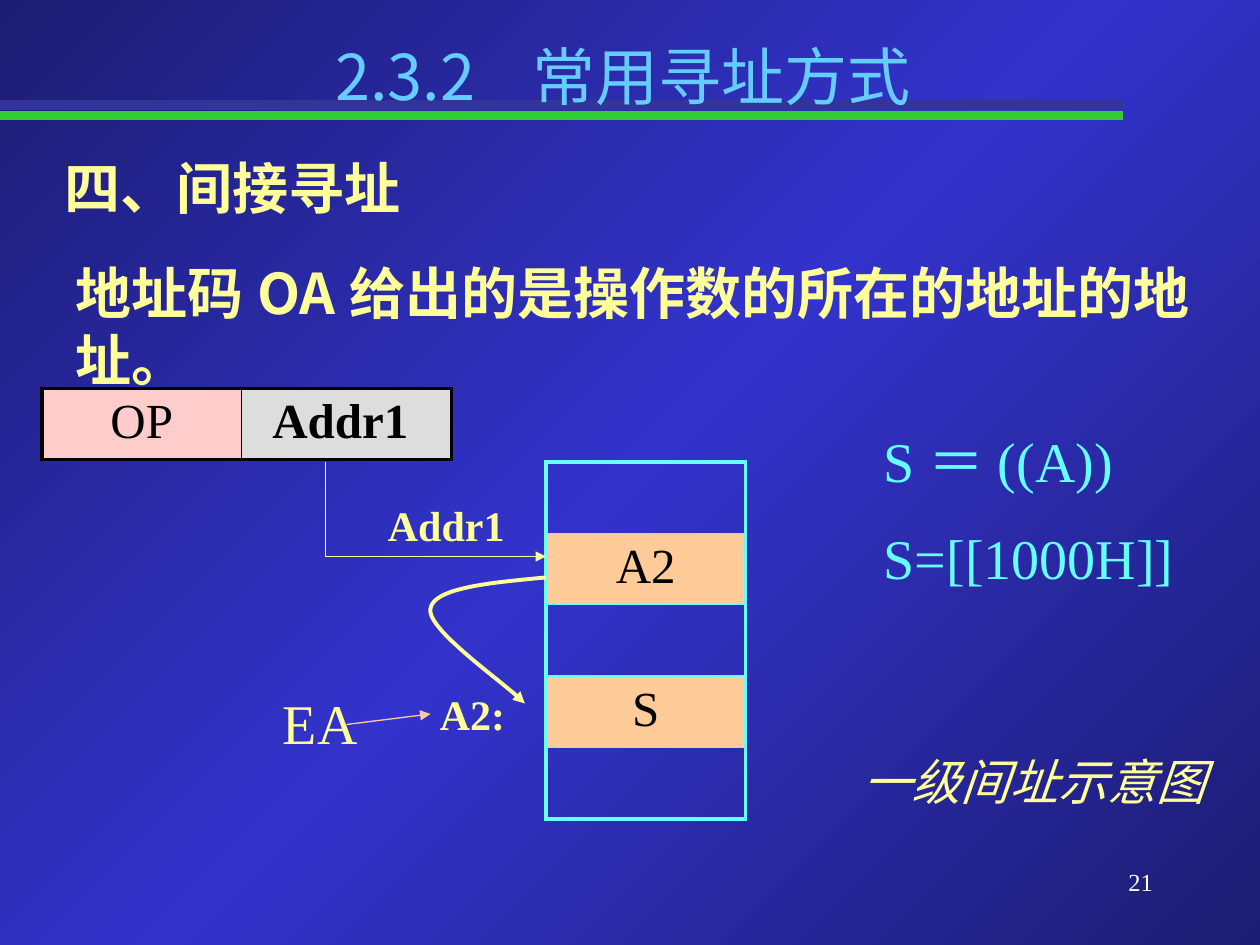
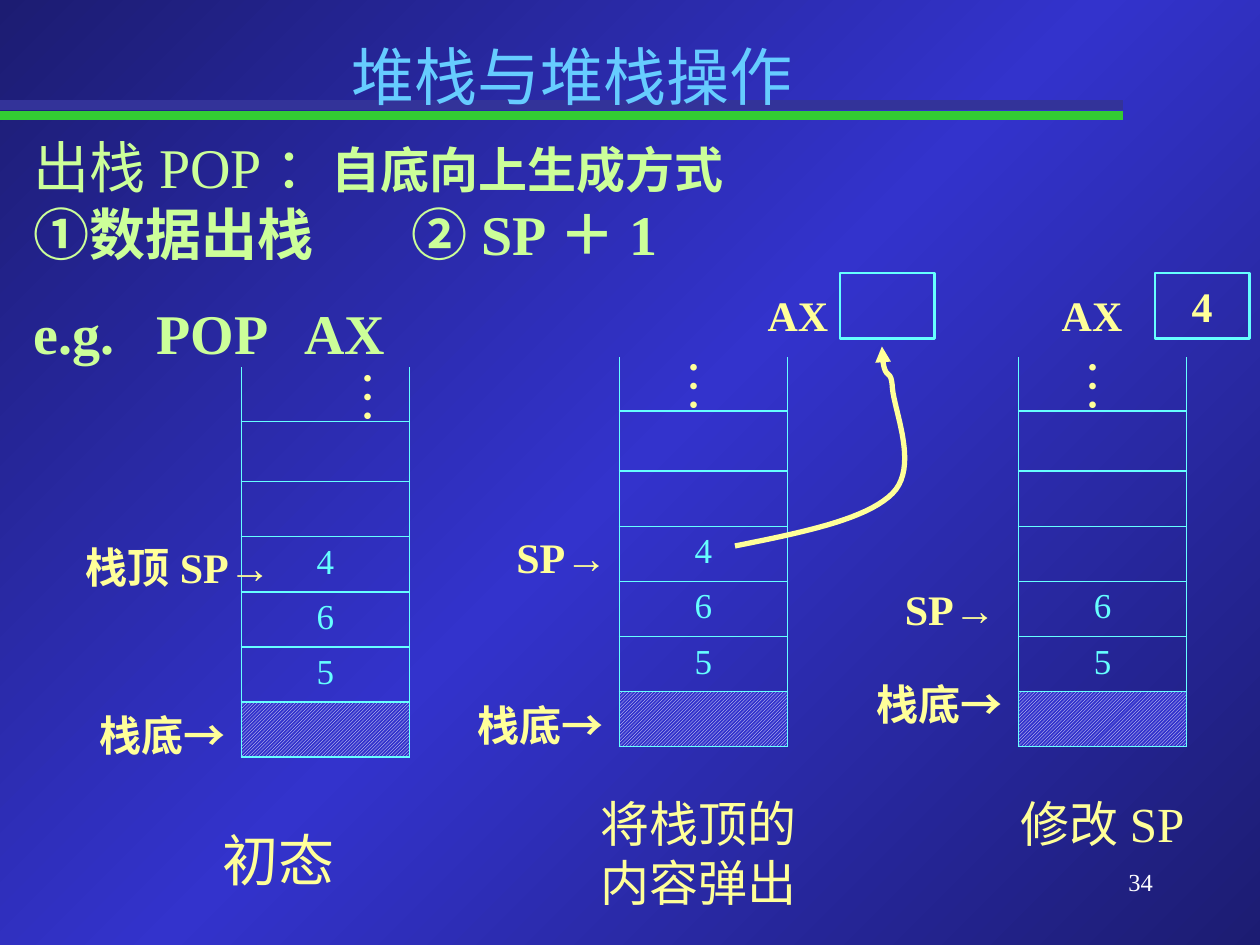
"""Build two slides on indirect addressing and on popping a stack."""
import copy

import pptx
import pptx.dml.color
import pptx.enum.dml
import pptx.enum.shapes
import pptx.enum.text
import pptx.oxml
import pptx.oxml.ns
import pptx.util

PX = 9525
SERIF = "Times New Roman"
SANS = "Noto Sans CJK SC"
COLORS = {
    name: pptx.dml.color.RGBColor.from_string(value)
    for name, value in {
        "edge": "1C1C72", "blue": "3333CC", "green": "33CC33", "navy": "333399",
        "title": "66CCFF", "yellow": "FFFF99", "lime": "CCFF99", "cyan": "66FFFF",
        "orange": "FFCC99", "pink": "FFCCCC", "gray": "DDDDDD",
        "black": "000000", "white": "FFFFFF",
    }.items()
}
ALIGN = pptx.enum.text.PP_ALIGN
ANCHOR = pptx.enum.text.MSO_ANCHOR
DRAWING = 'xmlns:a="http://schemas.openxmlformats.org/drawingml/2006/main"'
ARROWHEAD = f'<a:tailEnd {DRAWING} type="triangle"/>'


def write(frame, text, size=24, color="yellow", bold=False, italic=False, font=SERIF,
          east=SANS, align=ALIGN.LEFT, anchor=ANCHOR.TOP, gap=0, new=False):
    """Add one formatted span to the last paragraph, or to a new one."""
    frame.word_wrap = True
    frame.auto_size = pptx.enum.text.MSO_AUTO_SIZE.NONE
    frame.vertical_anchor = anchor
    para = frame.add_paragraph() if new else frame.paragraphs[-1]
    para.alignment = align
    para.space_before = pptx.util.Pt(gap)
    span = para.add_run()
    span.text = text
    span.font.size = pptx.util.Pt(size)
    span.font.bold = bold
    span.font.italic = italic
    span.font.color.rgb = COLORS[color]
    span.font.name = font
    span._r.get_or_add_rPr().append(
        pptx.oxml.parse_xml(f'<a:ea {DRAWING} typeface="{east}"/>'))


def add_grid(page, left, top, widths, heights, rows, fills, border, outer=1,
             open_top=False, **text_format):
    """Add a table with ruled cells, fills keyed by (row, column)."""
    grid = page.shapes.add_table(
        len(heights), len(widths), left * PX, top * PX,
        sum(widths) * PX, int(sum(heights) * PX)).table
    grid.first_row = grid.horz_banding = False
    for column, width in zip(grid.columns, widths):
        column.width = width * PX
    for row, height in zip(grid.rows, heights):
        row.height = int(height * PX)
    for r, texts in enumerate(rows):
        for c, text in enumerate(texts):
            cell = grid.cell(r, c)
            fill = fills.get((r, c))
            if fill == "hatch":
                cell.fill.patterned()
                cell.fill.pattern = pptx.enum.dml.MSO_PATTERN.DARK_UPWARD_DIAGONAL
                cell.fill.fore_color.rgb = COLORS["white"]
                cell.fill.back_color.rgb = COLORS["blue"]
            elif fill:
                cell.fill.solid()
                cell.fill.fore_color.rgb = COLORS[fill]
            else:
                cell.fill.background()
            if text:
                write(cell.text_frame, text, align=ALIGN.CENTER,
                      bold=text.startswith("Addr"), **text_format)
            outside = {"L": c == 0, "R": c == len(widths) - 1,
                       "T": r == 0, "B": r == len(heights) - 1}
            for place, (side, is_outside) in enumerate(outside.items()):
                weight = int((outer if is_outside else 1) * 12700)
                paint = f'<a:solidFill><a:srgbClr val="{COLORS[border]}"/></a:solidFill>'
                if open_top and side == "T" and r == 0:
                    paint = "<a:noFill/>"
                cell._tc.get_or_add_tcPr().insert(place, pptx.oxml.parse_xml(
                    f'<a:ln{side} {DRAWING} w="{weight}">{paint}</a:ln{side}>'))


deck = pptx.Presentation()
deck.slide_width = 960 * PX
deck.slide_height = 720 * PX

background = deck.slide_master.background
background.fill.gradient()
background.fill.gradient_angle = 315
for stop in background.fill.gradient_stops:
    stop.color.rgb = COLORS["edge"]
stops = next(background.element.iter(pptx.oxml.ns.qn("a:gsLst")))
middle = copy.deepcopy(stops[0])
middle.set("pos", "50000")
middle[0].set("val", str(COLORS["blue"]))
stops.insert(1, middle)

layout = deck.slide_layouts[1]
addressing = deck.slides.add_slide(layout)
stack = deck.slides.add_slide(layout)

for page, title, title_area, body_area, number in [
    (addressing, "2.3.2   常用寻址方式", (152, 24, 645, 67), (48, 192, 896, 60), "21"),
    (stack, "堆栈与堆栈操作", (120, 24, 632, 67), (16, 96, 888, 189), "34"),
]:
    for holder, area in zip(page.placeholders, (title_area, body_area)):
        holder.left, holder.top, holder.width, holder.height = (v * PX for v in area)
    write(page.shapes.title.text_frame, title, size=36, color="title", font=SANS,
          align=ALIGN.CENTER)
    box = page.shapes.add_textbox(688 * PX, 656 * PX, 200 * PX, 48 * PX)
    write(box.text_frame, number, size=14, color="white", align=ALIGN.RIGHT)

write(addressing.placeholders[1].text_frame, "地址码OA给出的是操作数的所在的地址的地址。",
      size=32, bold=True, font=SANS)

pop = stack.placeholders[1].text_frame
write(pop, "出栈POP：", size=32, color="lime")
write(pop, "自底向上生成方式", size=28, color="lime", bold=True)
pop.paragraphs[0].add_line_break()
write(pop, "①数据出栈\t\t②SP＋1", size=32, color="lime", bold=True)
write(pop, "e.g.   POP   AX", size=32, color="lime", bold=True, gap=18, new=True)

for page in deck.slides:
    for para in page.placeholders[1].text_frame.paragraphs:
        properties = para._p.get_or_add_pPr()
        properties.set("marL", "0")
        properties.set("indent", "0")
        properties.append(pptx.oxml.parse_xml(f"<a:buNone {DRAWING}/>"))
        if page is stack:
            tabs = "".join(f'<a:tab pos="{inch * 914400}" algn="l"/>' for inch in (3, 4))
            properties.append(
                pptx.oxml.parse_xml(f"<a:tabLst {DRAWING}>{tabs}</a:tabLst>"))

add_grid(addressing, 32, 296, [152, 160], [54], [["OP", "Addr1 "]],
         {(0, 0): "pink", (0, 1): "gray"}, "black", outer=2.25, size=28, color="black")
add_grid(addressing, 416, 352, [152], [54.4] * 5, [[""], ["A2"], [""], ["S"], [""]],
         {(1, 0): "orange", (3, 0): "orange"}, "cyan", outer=2.25, size=28, color="black")

for left, top, values in [(184, 280, "465"), (472, 272, "465"), (776, 272, " 65")]:
    rows = [[""]] * 3 + [[value.strip()] for value in values] + [[""]]
    add_grid(stack, left, top, [128], [41, 46] + [42] * 5, rows, {(6, 0): "hatch"},
             "cyan", open_top=True, size=20, color="cyan")

center = {"align": ALIGN.CENTER}
label = {"bold": True}
center_label = {**center, **label}
for page, text, area, text_format in [
    (addressing, "四、间接寻址", (40, 112, 744, 60), {"size": 32, "bold": True}),
    (addressing, "Addr1", (272, 376, 136, 48), center_label),
    (addressing, "A2:", (288, 520, 144, 48), center_label),
    (addressing, "一级间址示意图", (640, 568, 296, 55), {"size": 28, "italic": True, **center}),
    (addressing, "EA", (160, 520, 168, 60), {"size": 32, **center}),
    (stack, "栈底→", (64, 536, 120, 48), center_label),
    (stack, "栈底→", (352, 528, 120, 48), center_label),
    (stack, "栈底→", (656, 512, 120, 48), center_label),
    (stack, "栈顶SP→", (56, 408, 240, 48), label),
    (stack, "SP→", (384, 400, 240, 48), label),
    (stack, "SP→", (680, 440, 240, 48), label),
    (stack, "AX", (552, 216, 112, 48), center_label),
    (stack, "AX", (776, 216, 112, 48), center_label),
    (stack, "初态", (112, 624, 200, 60), {"size": 32, **center}),
    (stack, "将栈顶的内容弹出", (448, 600, 192, 99), {"size": 28}),
    (stack, "修改SP", (768, 600, 192, 55), {"size": 28}),
]:
    box = page.shapes.add_textbox(*(value * PX for value in area))
    write(box.text_frame, text, **text_format)

box = addressing.shapes.add_textbox(664 * PX, 320 * PX, 244 * PX, 108 * PX)
write(box.text_frame, "S＝((A))", size=32, color="cyan")
write(box.text_frame, "S=[[1000H]]", size=32, color="cyan", gap=17, new=True)

for left, top in [(256, 272), (504, 264), (808, 264)]:
    box = stack.shapes.add_textbox(left * PX, top * PX, 70 * PX, 53 * PX)
    write(box.text_frame, "…", size=32, east=SERIF, align=ALIGN.CENTER)
    box.text_frame.word_wrap = False
    box.text_frame._txBody.bodyPr.set("vert", "eaVert")

for left, value in [(640, ""), (880, "4")]:
    register = stack.shapes.add_shape(
        pptx.enum.shapes.MSO_SHAPE.RECTANGLE, left * PX, 208 * PX, 72 * PX, 50 * PX)
    register.shadow.inherit = False
    register.fill.background()
    register.line.color.rgb = COLORS["cyan"]
    register.line.width = pptx.util.Pt(1.5)
    if value:
        write(register.text_frame, value, bold=True, align=ALIGN.CENTER,
              anchor=ANCHOR.MIDDLE)

bands = [(page, (0, y), (856, y), color, 5.5, False)
         for page in deck.slides for y, color in [(80, "navy"), (88, "green")]]
for page, start, end, color, weight, arrow in bands + [
    (addressing, (248, 352), (248, 424), "yellow", 0.75, False),
    (addressing, (248, 424), (416, 424), "yellow", 0.75, True),
    (addressing, (264, 552), (328, 544), "orange", 0.75, True),
]:
    line = page.shapes.add_connector(
        pptx.enum.shapes.MSO_CONNECTOR.STRAIGHT, *(v * PX for v in start + end))
    line.line.color.rgb = COLORS[color]
    line.line.width = pptx.util.Pt(weight)
    if arrow:
        line.line._get_or_add_ln().append(pptx.oxml.parse_xml(ARROWHEAD))
    line._element.spPr.append(pptx.oxml.parse_xml(f"<a:effectLst {DRAWING}/>"))
    if weight > 5:
        page.shapes._spTree.insert(2, line._element)

STEPS = 20
for page, weight, knots in [
    (addressing, 2.25, [(416, 440), (373, 444), (330, 448), (328, 464),
                        (325, 480), (387, 522), (400, 536)]),
    (stack, 3, [(560, 416), (610, 406), (660, 396), (680, 376), (700, 356),
                (682, 315), (680, 296), (679, 277), (673, 295), (672, 264)]),
]:
    points = []
    for first in range(0, len(knots) - 1, 3):
        for step in range(1, STEPS + 1):
            t = step / STEPS
            weights = ((1 - t) ** 3, 3 * t * (1 - t) ** 2, 3 * t * t * (1 - t), t ** 3)
            points.append(tuple(
                round(PX * sum(w * knot[axis] for w, knot in zip(weights, knots[first:])))
                for axis in (0, 1)))
    builder = page.shapes.build_freeform(knots[0][0] * PX, knots[0][1] * PX)
    builder.add_line_segments(points, close=False)
    curve = builder.convert_to_shape()
    curve.shadow.inherit = False
    curve.fill.background()
    curve.line.color.rgb = COLORS["yellow"]
    curve.line.width = pptx.util.Pt(weight)
    curve.line._get_or_add_ln().append(pptx.oxml.parse_xml(ARROWHEAD))

deck.save("out.pptx")
